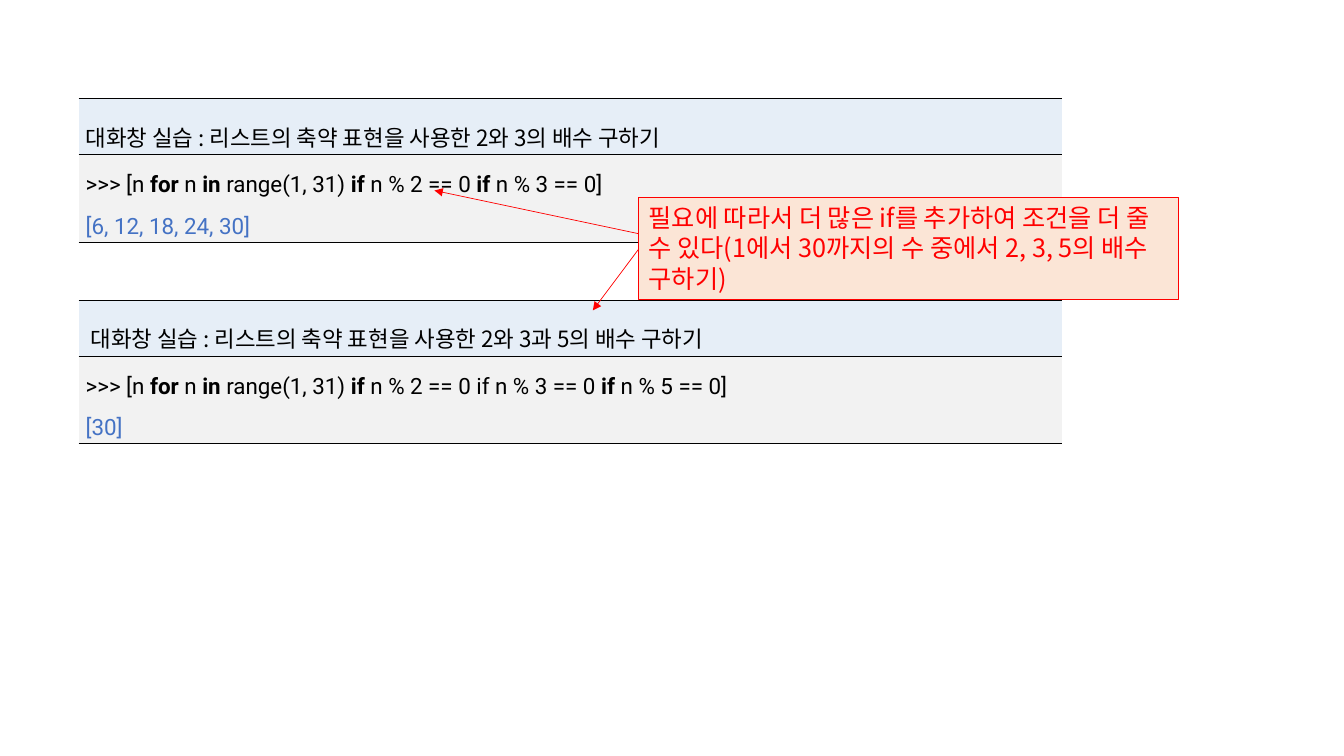
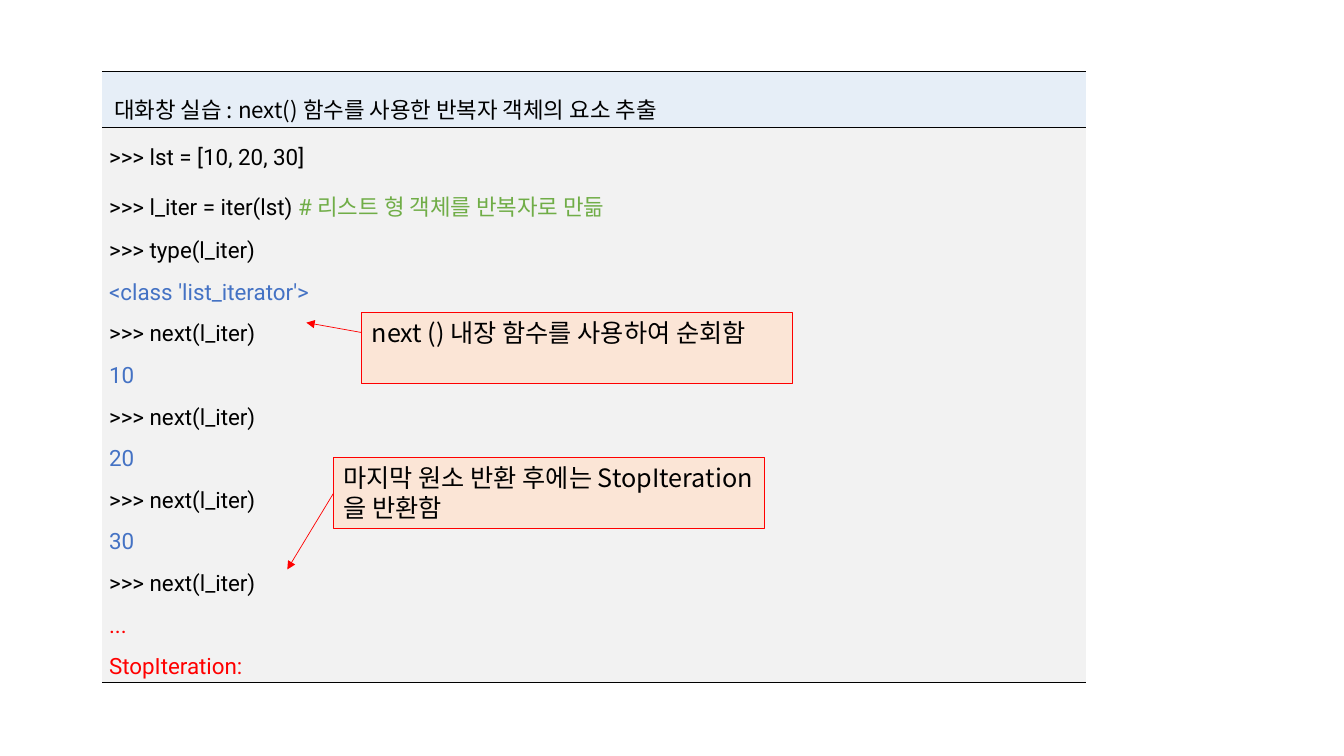
"""Build two slides of Python console exercises with callouts."""
from lxml.etree import SubElement
from pptx import Presentation
from pptx.dml.color import RGBColor
from pptx.enum.shapes import MSO_CONNECTOR, MSO_SHAPE
from pptx.enum.text import MSO_ANCHOR, PP_ALIGN
from pptx.oxml import parse_xml
from pptx.oxml.ns import nsdecls, qn
from pptx.util import Cm, Pt

COLORS = {
    "black": "000000", "blue": "4472C4", "green": "70AD47", "red": "FF0000",
    "header": "E6EEF7", "body": "F2F2F2", "callout": "FBE5D6",
}
KOREAN, CODE = "Noto Sans CJK KR", "Roboto"
STYLES = {
    "code": ("black", False), "key": ("black", True), "out": ("blue", False),
    "note": ("green", False), "error": ("red", False),
}
TABLE_WIDTH, ROW_HEIGHTS = 24.79, (1.25, 1.98)
THICK, THIN = 1, 0.28

LOOP = [(">>> [n ", "code"), ("for", "key"), (" n ", "code"), ("in", "key"),
        (" range(1, 31) ", "code"), ("if", "key")]
NEXT = [(">>> next(l_iter)", "code")]

SLIDES = [
    {
        "tables": [
            {"at": (1.98, 2.49),
             "title": "대화창 실습 : 리스트의 축약 표현을 사용한 2와 3의 배수 구하기",
             "lines": [
                 LOOP + [(" n % 2 == 0 ", "code"), ("if", "key"), (" n % 3 == 0]", "code")],
                 [("[6, 12, 18, 24, 30]", "out")],
             ]},
            {"at": (1.98, 7.57),
             "title": " 대화창 실습 : 리스트의 축약 표현을 사용한 2와 3과 5의 배수 구하기",
             "lines": [
                 LOOP + [(" n % 2 == 0 if n % 3 == 0 ", "code"), ("if", "key"),
                         (" n % 5 == 0]", "code")],
                 [("[30]", "out")],
             ]},
        ],
        "callouts": [
            {"box": (16.1, 4.98, 13.61, 2.57), "color": "red",
             "text": "필요에 따라서 더 많은 if를 추가하여 조건을 더 줄 수 있다"
                     "(1에서 30까지의 수 중에서 2, 3, 5의 배수 구하기)",
             "arrows": [(5.89, 10.95, 4.8), (6.27, 14.94, 7.82)]},
        ],
    },
    {
        "tables": [
            {"at": (2.57, 1.8),
             "title": " 대화창 실습 : next() 함수를 사용한 반복자 객체의 요소 추출",
             "lines": [
                 [(">>> lst = [10, 20, 30]", "code")],
                 [(">>> l_iter = iter(lst) ", "code"),
                  ("# 리스트 형 객체를 반복자로 만듦", "note")],
                 [(">>> type(l_iter)", "code")],
                 [("<class 'list_iterator'>", "out")],
                 NEXT, [("10", "out")],
                 NEXT, [("20", "out")],
                 NEXT, [("30", "out")],
                 NEXT, [("...", "error")],
                 [("StopIteration:", "error")],
             ]},
        ],
        "callouts": [
            {"box": (8.41, 11.53, 10.85, 1.8), "color": "black",
             "text": "마지막 원소 반환 후에는 StopIteration을 반환함",
             "arrows": [(12.42, 7.24, 14.35)]},
            {"box": (9.12, 7.87, 10.85, 1.8), "color": "black",
             "text": "next () 내장 함수를 사용하여 순회함",
             "arrows": [(8.38, 7.72, 8.13)]},
        ],
    },
]


def rgb(name):
    return RGBColor.from_string(COLORS[name])


def add_run(p, text, size, font, color, bold=False):
    r = p.add_run()
    r.text = text
    r.font.size, r.font.name, r.font.bold = Pt(size), font, bold
    r.font.color.rgb = rgb(color)
    SubElement(r.font._element, qn("a:ea")).set("typeface", KOREAN)


def set_borders(cell, top, bottom):
    tc_pr = cell._tc.get_or_add_tcPr()
    for i, (side, width) in enumerate((("L", 0), ("R", 0), ("T", top), ("B", bottom))):
        fill = (f'<a:solidFill><a:srgbClr val="{COLORS["black"]}"/></a:solidFill>'
                if width else "<a:noFill/>")
        tc_pr.insert(i, parse_xml(
            f'<a:ln{side} {nsdecls("a")} w="{Pt(width)}">{fill}</a:ln{side}>'))


def fill_cell(cell, fill, lines, font, top):
    cell.fill.solid()
    cell.fill.fore_color.rgb = rgb(fill)
    cell.vertical_anchor = MSO_ANCHOR.MIDDLE
    cell.margin_left = cell.margin_right = Cm(0.18)
    cell.margin_top = cell.margin_bottom = Cm(0.05)
    tf = cell.text_frame
    for i, runs in enumerate(lines):
        p = tf.add_paragraph() if i else tf.paragraphs[0]
        p.alignment, p.line_spacing = PP_ALIGN.JUSTIFY, 1.6
        for text, style in runs:
            add_run(p, text, 16, font, *STYLES[style])
    set_borders(cell, top, THIN)


def add_console(s, at, title, lines):
    x, y = at
    table = s.shapes.add_table(2, 1, Cm(x), Cm(y), Cm(TABLE_WIDTH),
                               Cm(sum(ROW_HEIGHTS))).table
    table.first_row = table.horz_banding = False
    for row, height in zip(table.rows, ROW_HEIGHTS):
        row.height = Cm(height)
    fill_cell(table.cell(0, 0), "header", [[(title, "code")]], KOREAN, THICK)
    fill_cell(table.cell(1, 0), "body", lines, CODE, THIN)


def add_arrow(s, *points):
    line = s.shapes.add_connector(MSO_CONNECTOR.STRAIGHT, *map(Cm, points))
    line.line.color.rgb = rgb("red")
    line.line.width = Pt(0.5)
    SubElement(line.line._get_or_add_ln(), qn("a:tailEnd")).set("type", "triangle")
    SubElement(line._element.spPr, qn("a:effectLst"))


def add_callout(s, box, color, text, arrows):
    sp = s.shapes.add_shape(MSO_SHAPE.RECTANGLE, *map(Cm, box))
    sp.shadow.inherit = False
    sp.fill.solid()
    sp.fill.fore_color.rgb = rgb("callout")
    sp.line.color.rgb = rgb("red")
    sp.line.width = Pt(0.75)
    tf = sp.text_frame
    tf.word_wrap, tf.vertical_anchor = True, MSO_ANCHOR.TOP
    p = tf.paragraphs[0]
    p.alignment = PP_ALIGN.LEFT
    add_run(p, text, 18, KOREAN, color)
    for start_y, end_x, end_y in arrows:
        add_arrow(s, box[0], start_y, end_x, end_y)


def main():
    prs = Presentation()
    prs.slide_width, prs.slide_height = Cm(33.87), Cm(19.05)
    for content in SLIDES:
        s = prs.slides.add_slide(prs.slide_layouts[6])
        for table in content["tables"]:
            add_console(s, **table)
        for callout in content["callouts"]:
            add_callout(s, **callout)
    prs.save("out.pptx")


if __name__ == "__main__":
    main()
